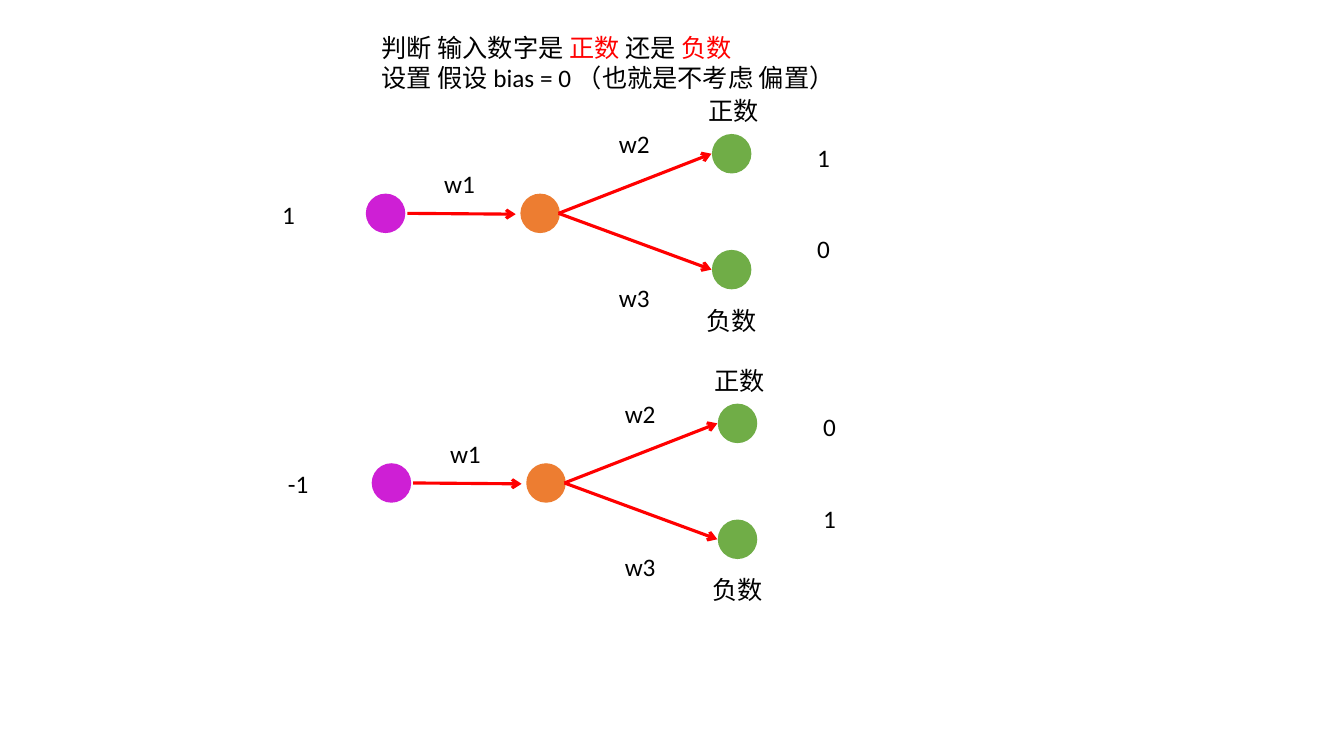
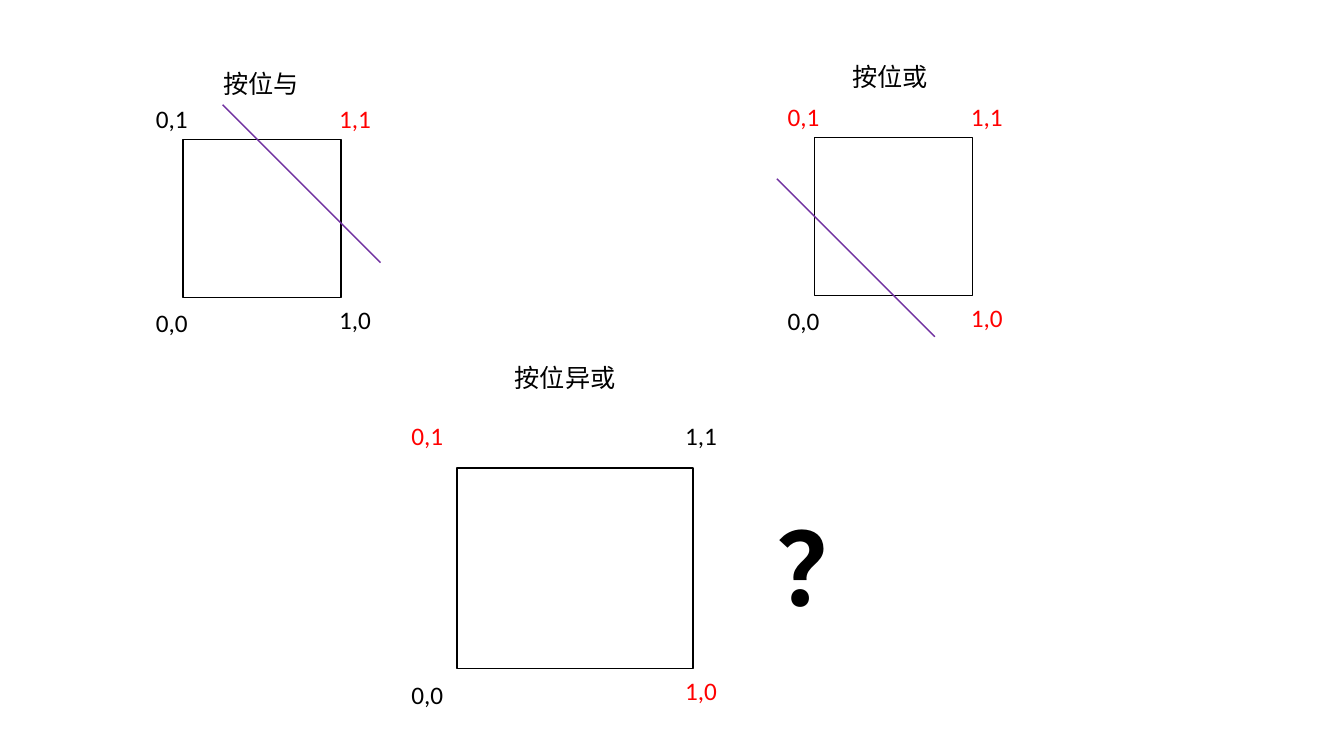
from dataclasses import dataclass
from typing import Any

from lxml.etree import SubElement
from pptx import Presentation
from pptx.dml.color import RGBColor
from pptx.enum.shapes import MSO_CONNECTOR, MSO_SHAPE
from pptx.enum.text import MSO_ANCHOR, MSO_AUTO_SIZE, PP_ALIGN
from pptx.oxml.ns import qn
from pptx.util import Inches, Length, Pt

# The slide is a grid of 160 by 90 square cells; all lengths are in cells.
COLS, ROWS = 160, 90
CELL = 1 / 12
FONT = "Calibri"
BLACK = RGBColor(0x00, 0x00, 0x00)
RED = RGBColor(0xFF, 0x00, 0x00)
PINK = RGBColor(0xCE, 0x1F, 0xD5)
ORANGE = RGBColor(0xED, 0x7D, 0x31)
GREEN = RGBColor(0x70, 0xAD, 0x47)
PURPLE = RGBColor(0x70, 0x30, 0xA0)

NODE = 4.7
LINE = 4.8
TITLE_ONLY, BLANK = 5, 6

Point = tuple[float, float]
Run = tuple[str, RGBColor]


@dataclass(frozen=True)
class Net:
    """A small network, placed by the centre of its input node."""
    x: float
    y: float
    value: str
    out: tuple[str, str]


@dataclass(frozen=True)
class Node:
    x: float
    y: float
    fill: RGBColor


@dataclass(frozen=True)
class Label:
    x: float
    y: float
    width: float
    text: str
    align: PP_ALIGN = PP_ALIGN.LEFT


@dataclass(frozen=True)
class Gate:
    """A logic gate: its square, its true corners and its cutting line."""
    x: float
    y: float
    width: float
    height: float
    title: Label
    true: tuple[str, ...]
    cut: Point | None = None


@dataclass(frozen=True)
class Corner:
    """A corner label, placed by shares of the square."""
    text: str
    x: float
    y: float


HEAD: list[list[Run]] = [
    [("判断 输入数字是 ", BLACK), ("正数 ", RED), ("还是 ", BLACK), ("负数", RED)],
    [("设置 假设 bias = 0 （也就是不考虑 偏置）", BLACK)],
]
NETS = (
    Net(45.9, 25.4, "1", ("1", "0")),
    Net(46.6, 57.5, "-1", ("0", "1")),
)
NODES = (
    Node(0, 0, PINK),
    Node(18.4, 0, ORANGE),
    Node(41.2, -7.1, GREEN),
    Node(41.2, 6.7, GREEN),
)
ARROWS: tuple[tuple[Point, Point], ...] = (
    ((2.6, 0), (15.5, 0.1)),
    ((20.6, 0), (38.8, -7.1)),
    ((20.6, 0), (38.8, 6.7)),
)
LABELS = (
    Label(5.8, -5.9, 6.5, "w1"),
    Label(26.6, -10.7, 6.5, "w2"),
    Label(26.6, 7.6, 6.5, "w3"),
    Label(37.3, -14.6, 9.6, "正数"),
    Label(34.1, 10.3, 14.2, "负数", PP_ALIGN.CENTER),
)
GATES = (
    Gate(21.8, 16.6, 18.8, 18.8, Label(25.4, 7.6, 12, "按位与"),
         ("1,1",), (0.25, -0.22)),
    Gate(97, 16.4, 18.8, 18.8, Label(100.3, 6.7, 12, "按位或"),
         ("0,1", "1,1", "1,0"), (-0.24, 0.26)),
    Gate(54.4, 55.7, 28.1, 23.9, Label(60.1, 42.6, 16.6, "按位异或"),
         ("0,1", "1,0")),
)
CORNERS = (
    Corner("0,0", -0.235, 1.03),
    Corner("1,0", 0.925, 1.01),
    Corner("1,1", 0.925, -0.26),
    Corner("0,1", -0.235, -0.26),
)


def cells(*counts: float) -> list[Length]:
    return [Inches(count * CELL) for count in counts]


def write(frame: Any, lines: list[list[Run]], *, size: float = 18,
          bold: bool = False, align: PP_ALIGN = PP_ALIGN.LEFT,
          wrap: bool = True) -> None:
    """Fill a text frame with one paragraph per line of runs."""
    frame.word_wrap = wrap
    frame.auto_size = MSO_AUTO_SIZE.NONE
    frame.vertical_anchor = MSO_ANCHOR.TOP
    for index, runs in enumerate(lines):
        para = frame.add_paragraph() if index else frame.paragraphs[0]
        para.alignment = align
        for text, color in runs:
            run = para.add_run()
            run.text = text
            run.font.name = FONT
            run.font.size = Pt(size)
            run.font.bold = bold
            run.font.color.rgb = color


def add_text(shapes: Any, x: float, y: float, width: float, text: str, *,
             height: float = LINE, color: RGBColor = BLACK,
             **style: Any) -> None:
    box = shapes.add_textbox(*cells(x, y, width, height))
    write(box.text_frame, [[(text, color)]], **style)


def add_line(shapes: Any, start: Point, end: Point, color: RGBColor,
             width: float, arrow: bool = False) -> None:
    line = shapes.add_connector(MSO_CONNECTOR.STRAIGHT, *cells(*start, *end))
    line.line.color.rgb = color
    line.line.width = Pt(width)
    if arrow:
        SubElement(line.get_or_add_ln(), qn("a:tailEnd"), type="arrow")
    SubElement(line._element.spPr, qn("a:effectLst"))


def draw_net(shapes: Any, net: Net) -> None:
    for node in NODES:
        left, top = net.x + node.x - NODE / 2, net.y + node.y - NODE / 2
        dot = shapes.add_shape(MSO_SHAPE.FLOWCHART_CONNECTOR,
                               *cells(left, top, NODE, NODE))
        dot.shadow.inherit = False
        dot.fill.solid()
        dot.fill.fore_color.rgb = node.fill
        dot.line.fill.background()
    for start, end in ARROWS:
        add_line(shapes, (net.x + start[0], net.y + start[1]),
                 (net.x + end[0], net.y + end[1]), RED, 2.25, arrow=True)
    ends = (
        Label(-13.5, -2.3, 5.5, net.value),
        Label(50.2, -9.1, NODE, net.out[0]),
        Label(50.2, 1.8, NODE, net.out[1]),
    )
    for label in LABELS + ends:
        add_text(shapes, net.x + label.x, net.y + label.y, label.width,
                 label.text, align=label.align)


def draw_gate(shapes: Any, gate: Gate) -> None:
    group = shapes.add_group_shape().shapes
    square = group.add_shape(
        MSO_SHAPE.RECTANGLE, *cells(gate.x, gate.y, gate.width, gate.height))
    square.shadow.inherit = False
    square.fill.background()
    square.line.color.rgb = BLACK
    square.line.width = Pt(1)
    for corner in CORNERS:
        add_text(group, gate.x + corner.x * gate.width,
                 gate.y + corner.y * gate.height, gate.width / 3, corner.text,
                 color=RED if corner.text in gate.true else BLACK)
    title = gate.title
    add_text(shapes, title.x, title.y, title.width, title.text)
    if gate.cut:
        x = gate.x + gate.cut[0] * gate.width
        y = gate.y + gate.cut[1] * gate.height
        add_line(shapes, (x, y), (x + gate.width, y + gate.height), PURPLE, 1)


def main() -> None:
    deck = Presentation()
    deck.slide_width, deck.slide_height = cells(COLS, ROWS)

    slide = deck.slides.add_slide(deck.slide_layouts[TITLE_ONLY])
    title = slide.shapes.title
    title.left, title.top, title.width, title.height = cells(44.2, 3.2, 67.8, 8.5)
    write(title.text_frame, HEAD)
    for net in NETS:
        draw_net(slide.shapes, net)

    slide = deck.slides.add_slide(deck.slide_layouts[BLANK])
    for gate in GATES:
        draw_gate(slide.shapes, gate)
    add_text(slide.shapes, 91.3, 59.6, 14.4, "？", height=15.7, size=72,
             bold=True, align=PP_ALIGN.CENTER, wrap=False)

    deck.save("out.pptx")


if __name__ == "__main__":
    main()
